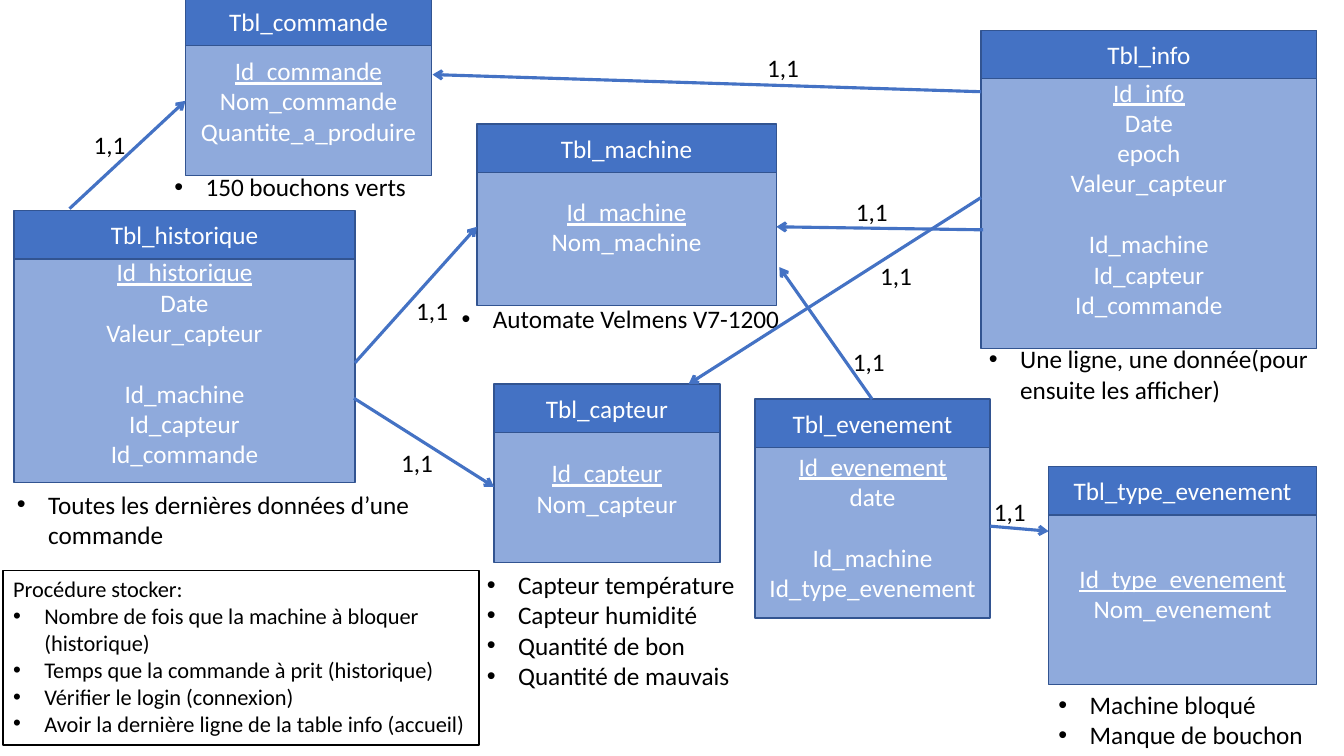
from lxml.etree import SubElement
from pptx import Presentation
from pptx.dml.color import RGBColor
from pptx.enum.shapes import MSO_CONNECTOR, MSO_SHAPE
from pptx.enum.text import MSO_ANCHOR, MSO_AUTO_SIZE, PP_ALIGN
from pptx.oxml.ns import qn
from pptx.util import Inches, Pt

HUES = {"head": "4472C4", "body": "8FAADC", "edge": "325491",
        "white": "FFFFFF", "black": "000000"}
COLS, ROWS = 133.3, 75  # grid of cells 0.1 inch wide and high
CELL = Inches(0.1)
HEAD = 4.8  # rows of a table's name bar
LEFT = {"alignment": PP_ALIGN.LEFT, "space_before": Pt(0)}
MID = {"alignment": PP_ALIGN.CENTER, "space_before": Pt(0)}
GAP = {**MID, "space_before": Pt(22)}  # one empty line above

# name, left, top, width, height, body's offset from the top, own fields, foreign keys
TABLES = [
    ("Tbl_info", 97.3, 3, 33.3, 31.6, 1.7,
     ["Id_info", "Date", "epoch", "Valeur_capteur"],
     ["Id_machine", "Id_capteur", "Id_commande"]),
    ("Tbl_machine", 47.3, 12.3, 29.7, 18, 2.4, ["Id_machine", "Nom_machine"], []),
    ("Tbl_capteur", 49, 38.1, 22.4, 17.7, 2.9, ["Id_capteur", "Nom_capteur"], []),
    ("Tbl_evenement", 74.9, 39.6, 23.3, 21.7, 3.6,
     ["Id_evenement", "date"], ["Id_machine", "Id_type_evenement"]),
    ("Tbl_historique", 1.4, 20.9, 33.8, 27, 3.2,
     ["Id_historique", "Date", "Valeur_capteur"],
     ["Id_machine", "Id_capteur", "Id_commande"]),
    ("Tbl_type_evenement", 104, 46.3, 26.6, 21.6, 3.5,
     ["Id_type_evenement", "Nom_evenement"], []),
    ("Tbl_commande", 18.4, -0.3, 24.4, 17.7, 2.9,
     ["Id_commande", "Nom_commande", "Quantite_a_produire"], []),
]
NOTES = [
    ((47.3, 56, 28.8, 13.1), ["Capteur température", "Capteur humidité",
                              "Quantité de bon", "Quantité de mauvais"]),
    ((44.8, 29.6, 43.7, 7.1), ["Automate Velmens V7-1200"]),
    ((97.1, 33.6, 34, 7.1), ["Une ligne, une donnée(pour ensuite les afficher)"]),
    ((104, 67.9, 29.3, 7.1), ["Machine bloqué", "Manque de bouchon"]),
    ((0.7, 48, 41, 7.1), ["Toutes les dernières données d’une commande"]),
    ((16.3, 16.5, 25.8, 7.1), ["150 bouchons verts"]),
]
# start, end, left and top of the label (None: no label)
LINKS = [
    ((97.5, 22.8), (77, 22.5), (83.9, 19)),
    ((97.3, 19.6), (68.3, 38.1), (86.3, 25.3)),
    ((86.5, 39.6), (77.3, 26.5), (83.6, 33.9)),
    ((35.2, 36), (47.3, 22.5), (40.3, 28.8)),
    ((35.1, 39.5), (49, 48.3), (38.8, 43.9)),
    ((98.2, 52.2), (104, 52.7), (97.6, 48.7)),
    ((97.3, 9.1), (42.9, 7.4), (75.1, 4.7)),
    ((6.9, 20.7), (18.4, 10), (8.3, 12.3)),
]
STEPS = ["Nombre de fois que la machine à bloquer (historique)",
         "Temps que la commande à prit (historique)",
         "Vérifier le login (connexion)",
         "Avoir la dernière ligne de la table info (accueil)"]


def rgb(hue):
    return RGBColor.from_string(HUES[hue])


def grid(*cells):
    return [round(n * CELL) for n in cells]


def apply(part, form):
    for key, value in form.items():
        setattr(part, key, value)


def write(frame, lines, hue, size=18):
    """Fill a frame with (text, paragraph format, underlined) lines."""
    for at, (text, form, under) in enumerate(lines):
        para = frame.paragraphs[0] if at == 0 else frame.add_paragraph()
        apply(para, form)
        run = para.add_run()
        run.text = text
        apply(run.font, {"name": "Calibri", "size": Pt(size), "underline": under})
        run.font.color.rgb = rgb(hue)


def bullet(para, sign="•"):
    """Hang a bullet, or clear it when the sign is empty."""
    props = para._p.get_or_add_pPr()
    dent = Inches(0.31) if sign else 0
    props.set("marL", str(dent))
    props.set("indent", str(-dent))
    if sign:
        SubElement(props, qn("a:buFont"), typeface="Arial")
        SubElement(props, qn("a:buChar"), char=sign)
    else:
        SubElement(props, qn("a:buNone"))


def bar(slide, box, fill, lines):
    shape = slide.shapes.add_shape(MSO_SHAPE.RECTANGLE, *grid(*box))
    shape.shadow.inherit = False
    shape.fill.solid()
    shape.fill.fore_color.rgb = rgb(fill)
    shape.line.color.rgb = rgb("edge")
    shape.line.width = Pt(1)
    shape.text_frame.vertical_anchor = MSO_ANCHOR.MIDDLE
    write(shape.text_frame, lines, "white")


def table(slide, name, box, drop, own, keys):
    """Draw one database table: fields first, name bar over their top."""
    x, y, wide, high = box
    lines = [(text, MID, at == 0) for at, text in enumerate(own)]
    lines += [(text, MID if at else GAP, False) for at, text in enumerate(keys)]
    bar(slide, (x, y + drop, wide, high - drop), "body", lines)
    bar(slide, (x, y, wide, HEAD), "head", [(name, MID, False)])


def text(slide, box, lines, wrap=True):
    shape = slide.shapes.add_textbox(*grid(*box))
    apply(shape.text_frame, {"word_wrap": wrap,
                             "auto_size": MSO_AUTO_SIZE.SHAPE_TO_FIT_TEXT})
    write(shape.text_frame, [(line, LEFT, False) for line in lines], "black")
    return shape.text_frame


def note(slide, box, lines):
    for para in text(slide, box, lines).paragraphs:
        bullet(para)


def link(slide, start, end, label):
    line = slide.shapes.add_connector(MSO_CONNECTOR.STRAIGHT, *grid(*start, *end))
    line.line.color.rgb = rgb("head")
    line.line.width = Pt(2.25)
    SubElement(line.line._get_or_add_ln(), qn("a:tailEnd"), type="arrow")
    SubElement(line._element.spPr, qn("a:effectLst"))
    if label:
        text(slide, (*label, 5.2, 4), ["1,1"], wrap=False)


def steps(slide, box):
    """Turn the body placeholder into the framed list of procedures."""
    body = slide.placeholders[1]
    apply(body, dict(zip(("left", "top", "width", "height"), grid(*box))))
    body.line.color.rgb = rgb("black")
    body.line.width = Pt(1)
    frame = body.text_frame
    apply(frame, {"word_wrap": True, "vertical_anchor": MSO_ANCHOR.TOP,
                  "auto_size": MSO_AUTO_SIZE.NONE})
    write(frame, [(line, LEFT, False) for line in ["Procédure stocker:", *STEPS]],
          "black", 16)
    for at, para in enumerate(frame.paragraphs):
        bullet(para, "•" if at else "")


def main():
    deck = Presentation()
    apply(deck, dict(zip(("slide_width", "slide_height"), grid(COLS, ROWS))))
    slide = deck.slides.add_slide(deck.slide_layouts[1])
    title = slide.shapes.title._element
    title.getparent().remove(title)
    steps(slide, (0.3, 56.6, 47.2, 17.3))
    for name, x, y, wide, high, drop, own, keys in TABLES:
        table(slide, name, (x, y, wide, high), drop, own, keys)
    for box, lines in NOTES:
        note(slide, box, lines)
    for start, end, label in LINKS:
        link(slide, start, end, label)
    deck.save("out.pptx")


if __name__ == "__main__":
    main()
